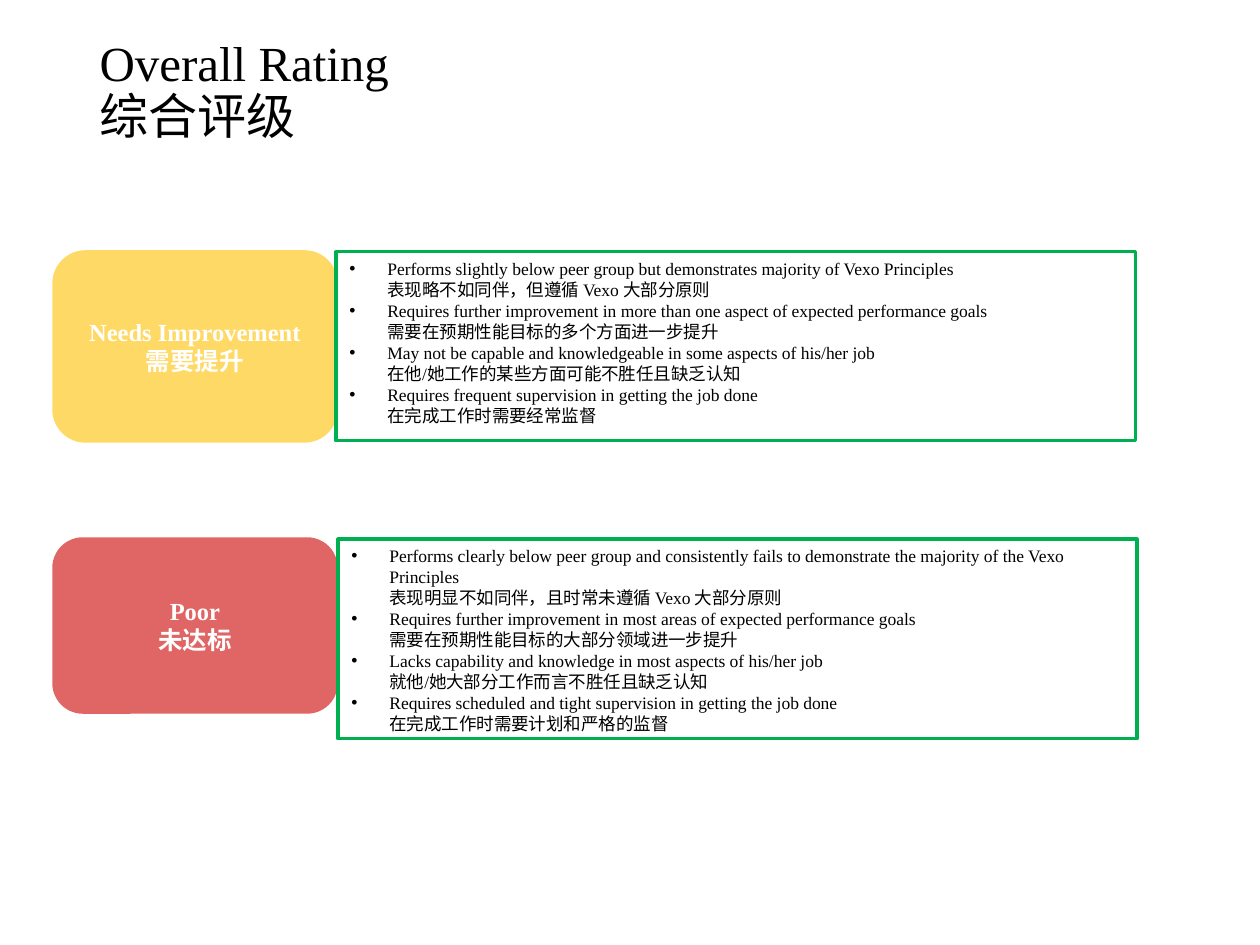
"""Build the overall rating slide with its two lower rating levels."""
from lxml import etree
from pptx import Presentation
from pptx import util as u
from pptx.dml.color import RGBColor
from pptx.enum import shapes, text
from pptx.oxml.ns import qn

PX_PER_INCH = 126
FONT = "Times New Roman"
COLORS = {
    "text": "000000",
    "label": "FFFFFF",
    "border": "00B050",
    "needs_improvement": "FFD966",
    "poor": "E06666",
}

RATINGS = [
    {
        "color": "needs_improvement",
        "label": ("Needs Improvement", "需要提升"),
        "label_box": (54, 252, 282, 189),
        "criteria_box": (336, 252, 800, 189),
        "criteria": [
            ("Performs slightly below peer group but demonstrates majority of Vexo Principles",
             "表现略不如同伴，但遵循 Vexo 大部分原则"),
            ("Requires further improvement in more than one aspect of expected performance goals",
             "需要在预期性能目标的多个方面进一步提升"),
            ("May not be capable and knowledgeable in some aspects of his/her job",
             "在他/她工作的某些方面可能不胜任且缺乏认知"),
            ("Requires frequent supervision in getting the job done",
             "在完成工作时需要经常监督"),
        ],
    },
    {
        "color": "poor",
        "label": ("Poor", "未达标"),
        "label_box": (54, 539, 282, 173),
        "criteria_box": (338, 539, 799, 200),
        "criteria": [
            ("Performs clearly below peer group and consistently fails to demonstrate "
             "the majority of the Vexo Principles",
             "表现明显不如同伴，且时常未遵循 Vexo 大部分原则"),
            ("Requires further improvement in most areas of expected performance goals",
             "需要在预期性能目标的大部分领域进一步提升"),
            ("Lacks capability and knowledge in most aspects of his/her job",
             "就他/她大部分工作而言不胜任且缺乏认知"),
            ("Requires scheduled and tight supervision in getting the job done",
             "在完成工作时需要计划和严格的监督"),
        ],
    },
]


def px(value):
    """Turn pixels into EMU."""
    return u.Emu(round(value * 914400 / PX_PER_INCH))


def rgb(name):
    """Look up a named colour."""
    return RGBColor.from_string(COLORS[name])


def add_lines(paragraph, lines, size, color, bold=False):
    """Write lines as runs parted by line breaks."""
    for index, line in enumerate(lines):
        if index:
            paragraph.add_line_break()
        run = paragraph.add_run()
        run.text = line
        run.font.name = FONT
        run.font.size = u.Pt(size)
        run.font.bold = bold
        run.font.color.rgb = rgb(color)


def add_bullet(paragraph):
    """Give a paragraph a hanging round bullet."""
    properties = paragraph._p.get_or_add_pPr()
    properties.set("marL", str(px(39)))
    properties.set("indent", str(-px(38)))
    bullet_color = etree.SubElement(properties, qn("a:buClr"))
    etree.SubElement(bullet_color, qn("a:srgbClr"), val=COLORS["text"])
    etree.SubElement(properties, qn("a:buFont"), typeface="Arial")
    etree.SubElement(properties, qn("a:buChar"), char="•")


def add_box(slide, kind, box, line_color, line_width):
    """Add an outlined shape without shadow or fill."""
    shape = slide.shapes.add_shape(kind, *map(px, box))
    shape.shadow.inherit = False
    shape.fill.background()
    shape.line.color.rgb = rgb(line_color)
    shape.line.width = u.Pt(line_width)
    shape.text_frame.word_wrap = True
    return shape


def add_title(slide, lines):
    """Place and fill the title placeholder."""
    title = slide.shapes.title
    title.left, title.top, title.width, title.height = map(px, (87, 33, 1086, 118))
    frame = title.text_frame
    frame.auto_size = text.MSO_AUTO_SIZE.NONE
    frame.vertical_anchor = text.MSO_ANCHOR.MIDDLE
    paragraph = frame.paragraphs[0]
    paragraph.alignment = text.PP_ALIGN.LEFT
    paragraph.line_spacing = 0.9
    add_lines(paragraph, lines, 28, "text")


def add_label(slide, rating):
    """Add the coloured rating name."""
    shape = add_box(slide, shapes.MSO_SHAPE.ROUNDED_RECTANGLE,
                    rating["label_box"], rating["color"], 2)
    shape.fill.solid()
    shape.fill.fore_color.rgb = rgb(rating["color"])
    shape.text_frame.vertical_anchor = text.MSO_ANCHOR.MIDDLE
    paragraph = shape.text_frame.paragraphs[0]
    paragraph.alignment = text.PP_ALIGN.CENTER
    add_lines(paragraph, rating["label"], 14, "label", bold=True)


def add_criteria(slide, rating):
    """Add the framed list of criteria."""
    shape = add_box(slide, shapes.MSO_SHAPE.RECTANGLE,
                    rating["criteria_box"], "border", 1.75)
    frame = shape.text_frame
    frame.vertical_anchor = text.MSO_ANCHOR.TOP
    for index, lines in enumerate(rating["criteria"]):
        paragraph = frame.add_paragraph() if index else frame.paragraphs[0]
        paragraph.alignment = text.PP_ALIGN.LEFT
        add_bullet(paragraph)
        add_lines(paragraph, lines, 10, "text")


def main():
    """Build and save the slide."""
    presentation = Presentation()
    presentation.slide_width, presentation.slide_height = px(1260), px(945)
    slide = presentation.slides.add_slide(presentation.slide_layouts[5])
    add_title(slide, ("Overall Rating", "综合评级"))
    for rating in RATINGS:
        add_label(slide, rating)
        add_criteria(slide, rating)
    presentation.save("out.pptx")


if __name__ == "__main__":
    main()
